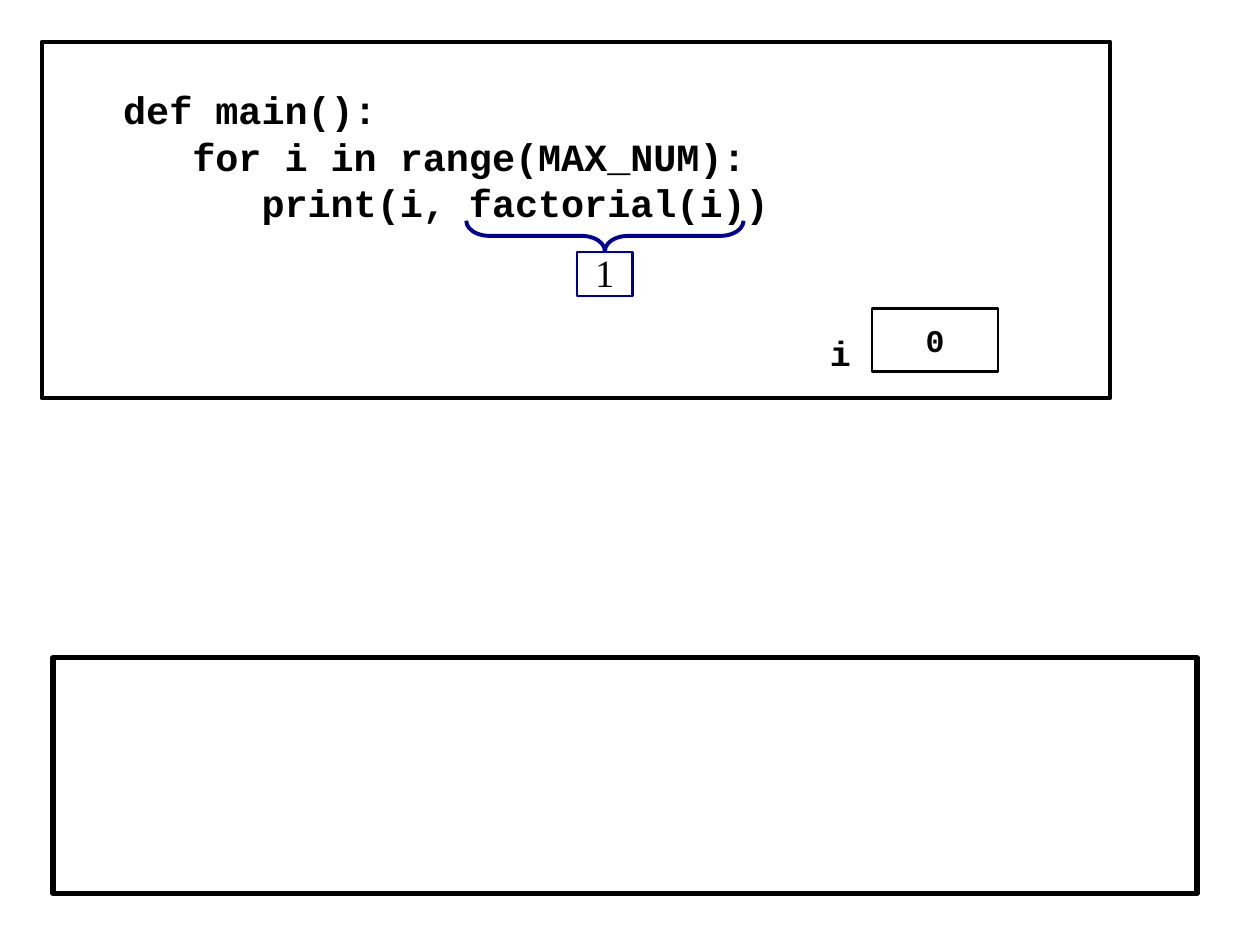
from dataclasses import dataclass

from pptx import Presentation
from pptx.dml.color import RGBColor
from pptx.enum.shapes import MSO_SHAPE
from pptx.enum.text import MSO_ANCHOR, PP_ALIGN
from pptx.util import Cm, Pt

BLACK = RGBColor(0x01, 0x00, 0x00)
WHITE = RGBColor(0xFF, 0xFF, 0xFF)
NAVY = RGBColor(0x00, 0x00, 0x99)
MONO = "Courier New"
SERIF = "Times New Roman"

CODE = """\
   def main():
      for i in range(MAX_NUM):
         print(i, factorial(i))"""


@dataclass
class Box:
    """A framed rectangle; lengths in cm, sizes in points."""
    left: float
    top: float
    width: float
    height: float
    line_width: float
    line_color: RGBColor = BLACK
    text: str = ""
    size: float = 22
    font: str = MONO
    bold: bool = True
    align: PP_ALIGN = PP_ALIGN.CENTER
    anchor: MSO_ANCHOR = MSO_ANCHOR.MIDDLE
    inset_top: float = 0.13
    spacing: float | None = None


MAIN_FRAME = Box(0.84, 0.84, 21.54, 7.19, 2.25, text=CODE, align=PP_ALIGN.LEFT,
                 anchor=MSO_ANCHOR.TOP, inset_top=0.9, spacing=26.5)
VARIABLE = Box(17.58, 6.22, 2.54, 1.27, 1.5, text="0", size=18)
RESULT = Box(11.63, 5.08, 1.12, 0.89, 1.5, NAVY, "1", font=SERIF,
             bold=False, inset_top=0.05)
OUTPUT_FRAME = Box(1.07, 13.26, 23.06, 4.75, 3)


def write(tf, text: str, size: float, font: str, bold: bool,
          align: PP_ALIGN, spacing: float | None = None) -> None:
    tf.text = text
    for p in tf.paragraphs:
        p.alignment = align
        if spacing:
            p.line_spacing = Pt(spacing)
        for r in p.runs:
            r.font.name = font
            r.font.size = Pt(size)
            r.font.bold = bold
            r.font.color.rgb = BLACK


def draw_box(s, box: Box) -> None:
    sp = s.shapes.add_shape(MSO_SHAPE.RECTANGLE, Cm(box.left), Cm(box.top),
                            Cm(box.width), Cm(box.height))
    sp.shadow.inherit = False
    sp.fill.solid()
    sp.fill.fore_color.rgb = WHITE
    sp.line.color.rgb = box.line_color
    sp.line.width = Pt(box.line_width)
    if box.text:
        tf = sp.text_frame
        tf.word_wrap = box.align == PP_ALIGN.LEFT
        tf.vertical_anchor = box.anchor
        tf.margin_top = Cm(box.inset_top)
        write(tf, box.text, box.size, box.font, box.bold, box.align, box.spacing)


def draw_variable_name(s) -> None:
    tf = s.shapes.add_textbox(Cm(16.48), Cm(6.56), Cm(1.27), Cm(1.09)).text_frame
    tf.word_wrap = True
    write(tf, "i", 20, MONO, True, PP_ALIGN.LEFT)


def draw_call_brace(s) -> None:
    sp = s.shapes.add_shape(MSO_SHAPE.LEFT_BRACE, Cm(11.89), Cm(1.96),
                            Cm(0.61), Cm(5.59))
    sp.rotation = 270
    sp.adjustments[0] = 0.77
    sp.shadow.inherit = False
    sp.fill.background()
    sp.line.color.rgb = NAVY
    sp.line.width = Pt(2.25)


def main() -> None:
    prs = Presentation()
    prs.slide_width, prs.slide_height = Cm(25.4), Cm(19.05)
    s = prs.slides.add_slide(prs.slide_layouts[6])
    draw_box(s, MAIN_FRAME)
    draw_box(s, VARIABLE)
    draw_variable_name(s)
    draw_call_brace(s)
    draw_box(s, RESULT)
    draw_box(s, OUTPUT_FRAME)
    prs.save("out.pptx")


if __name__ == "__main__":
    main()
